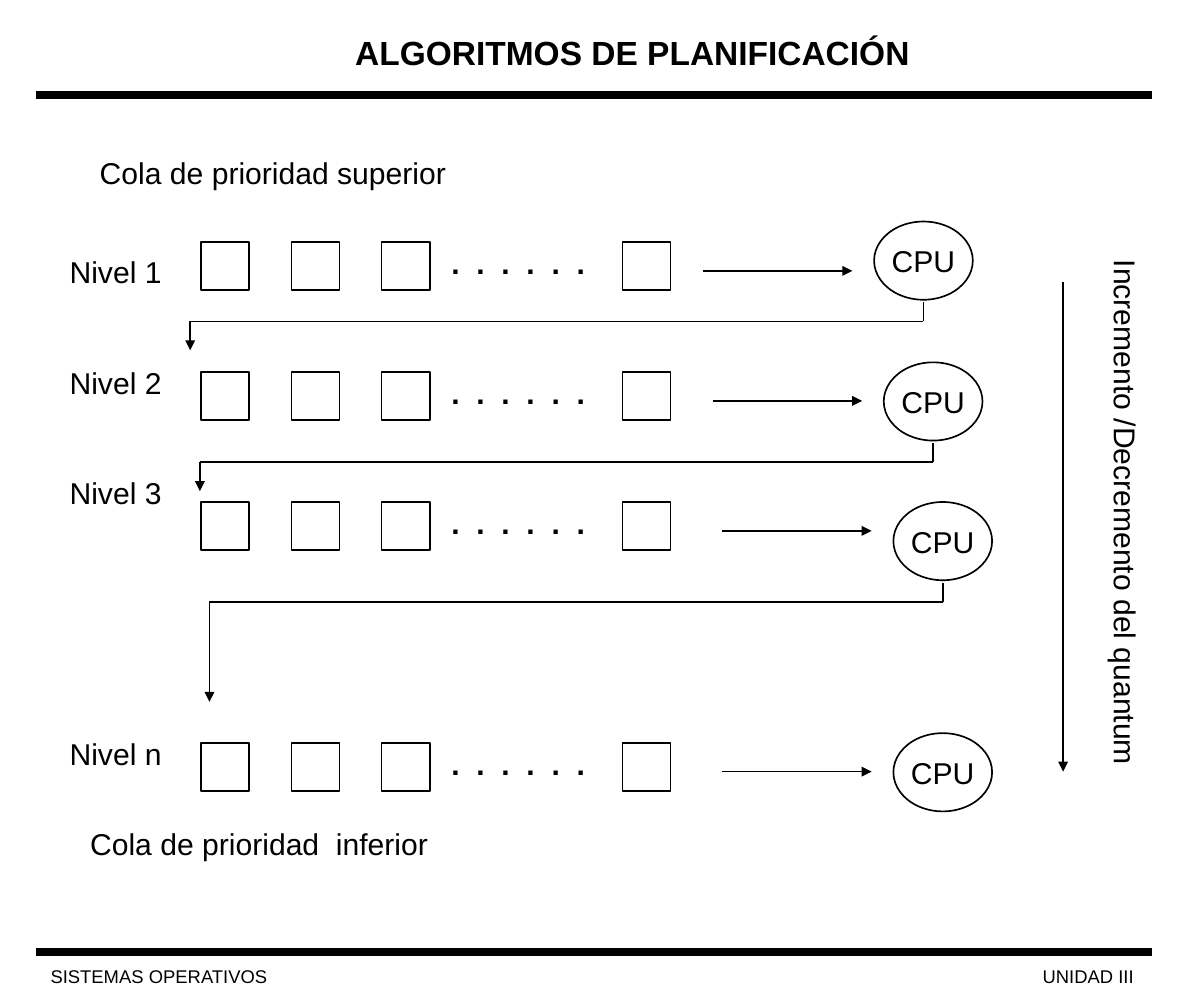
from itertools import pairwise

from lxml import etree
from pptx import Presentation
from pptx import util as u
from pptx.dml.color import RGBColor
from pptx.enum import shapes, text
from pptx.oxml.ns import qn

PX = 9144  # EMU per px, 100 px to the inch
BLACK = "000000"
FONT = "Arial"

# label, label top, queue top, CPU left, CPU top, end of the return path
LEVELS = [
    ("Nivel 1", 206, 201, 726, 184, 291),
    ("Nivel 2", 298, 309, 734, 301, 408),
    ("Nivel 3", 389, 417, 742, 417, 583),
    ("Nivel n", 606, 617, 742, 609, None),
]


def px(*values):
    return [u.Emu(v * PX) for v in values]


def rgb(hex_color):
    return RGBColor.from_string(hex_color)


def write(sp, words, size=18, bold=False, inset=(10, 5), wrap=False,
          anchor=text.MSO_ANCHOR.TOP, align=text.PP_ALIGN.LEFT):
    tf = sp.text_frame
    tf.text = words
    tf.word_wrap = wrap
    tf.auto_size = text.MSO_AUTO_SIZE.NONE
    tf.vertical_anchor = anchor
    tf.margin_left = tf.margin_right = u.Emu(inset[0] * PX)
    tf.margin_top = tf.margin_bottom = u.Emu(inset[1] * PX)
    p = tf.paragraphs[0]
    p.alignment = align
    font = p.runs[0].font
    font.name, font.size, font.bold = FONT, u.Pt(size), bold
    font.color.rgb = rgb(BLACK)


def label(parent, box, words, **style):
    sp = parent.add_textbox(*px(*box))
    write(sp, words, **style)
    return sp


def outline(parent, kind, box):
    """Add an unfilled preset shape with a thin black line."""
    sp = parent.add_shape(kind, *px(*box))
    sp.shadow.inherit = False
    sp.fill.background()
    sp.line.color.rgb = rgb(BLACK)
    sp.line.width = u.Pt(1)
    return sp


def line(parent, start, end, width=1, arrow=False):
    cx = parent.add_connector(shapes.MSO_CONNECTOR.STRAIGHT, *px(*start, *end))
    cx.line.color.rgb = rgb(BLACK)
    cx.line.width = u.Pt(width)
    if arrow:
        etree.SubElement(cx.line._get_or_add_ln(), qn("a:tailEnd"), type="triangle")
    etree.SubElement(cx._element.spPr, qn("a:effectLst"))


def frame(s):
    """Place the title, the two rules and the footer."""
    title = s.shapes.title
    title.left, title.top, title.width, title.height = px(235, 22, 531, 43)
    write(title, "ALGORITMOS DE PLANIFICACIÓN", size=20, bold=True)
    p_pr = title.text_frame.paragraphs[0]._p.get_or_add_pPr()
    p_pr.set("marL", str(50 * PX))
    for x, width, words in ((31, 219, "SISTEMAS OPERATIVOS"), (855, 111, "UNIDAD III")):
        label(s.shapes, (x, 796, width, 29), words, size=11, inset=(11, 6), wrap=True)
    for y in (791, 79):
        line(s.shapes, (30, y), (957, y), width=4.5)


def queue(s, x, y):
    group = s.shapes.add_group_shape().shapes
    for dx in (0, 75, 150, 350):
        outline(group, shapes.MSO_SHAPE.RECTANGLE, (x + dx, y, 40, 40))
    label(group, (x + 198, y - 3, 131, 40), ".  .  .  .  .  .", bold=True)


def cpu(s, x, y):
    sp = outline(s.shapes, shapes.MSO_SHAPE.OVAL, (x, y, 82, 65))
    write(sp, "CPU", inset=(0, 0), anchor=text.MSO_ANCHOR.MIDDLE,
          align=text.PP_ALIGN.CENTER)


def return_path(s, x, y, end_y):
    """Lead from below the CPU at x, y back to the next queue."""
    right, left, turn = x + 41, x - 568, y + 83
    corners = [(right, y + 67), (right, turn), (left, turn), (left, end_y)]
    for start, end in pairwise(corners):
        line(s.shapes, start, end, arrow=end == corners[-1])


def level(s, name, name_y, queue_y, cpu_x, cpu_y, end_y):
    label(s.shapes, (48, name_y, 96, 40), name)
    queue(s, 167, queue_y)
    arrow_y = queue_y + 24
    line(s.shapes, (cpu_x - 142, arrow_y), (cpu_x - 18, arrow_y), arrow=True)
    cpu(s, cpu_x, cpu_y)
    if end_y:
        return_path(s, cpu_x, cpu_y, end_y)


def quantum_axis(s, x, top, bottom):
    line(s.shapes, (x, top), (x, bottom), arrow=True)
    sp = label(s.shapes, (x - 168, 406, 440, 40), "Incremento /Decremento del quantum")
    sp.rotation = 90


def main():
    prs = Presentation()
    prs.slide_width, prs.slide_height = px(1000, 834)
    s = prs.slides.add_slide(prs.slide_layouts[5])
    frame(s)
    label(s.shapes, (73, 123, 308, 40), "Cola de prioridad superior")
    for row in LEVELS:
        level(s, *row)
    label(s.shapes, (65, 681, 301, 40), "Cola de prioridad  inferior")
    quantum_axis(s, 883, 234, 641)
    prs.save("out.pptx")


if __name__ == "__main__":
    main()
